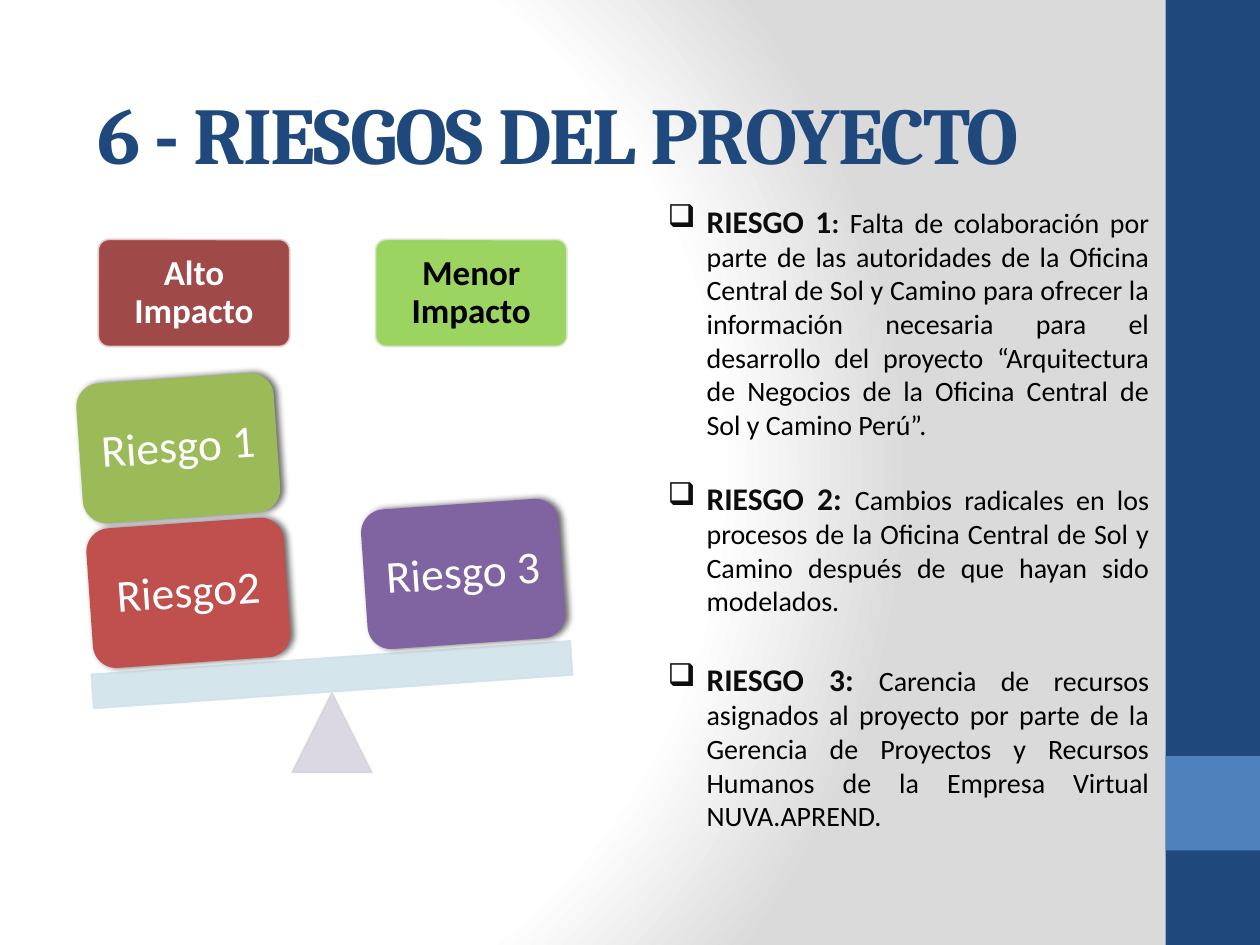
from dataclasses import dataclass

from pptx import Presentation
from pptx.dml.color import RGBColor
from pptx.enum.shapes import MSO_SHAPE
from pptx.enum.text import MSO_ANCHOR, MSO_AUTO_SIZE, PP_ALIGN
from pptx.oxml import parse_xml
from pptx.oxml.ns import nsdecls, qn
from pptx.util import Inches, Pt

COLORS = {
    "navy": "1F497D", "blue": "4F81BD", "white": "FFFFFF", "gray": "DADADA",
    "black": "000000", "ink": "0D0D0D", "dark_red": "953735", "pink": "E8D0D0",
    "lime": "92D050", "pale_lime": "DEE7D1", "lilac": "D8D3E0", "ice": "D0E3EA",
    "red": "C0504D", "olive": "9BBB59", "purple": "8064A2",
}
TILT = 356


@dataclass
class Heading:
    text: str
    left: float
    fill: str
    line: str
    color: str


@dataclass
class Weight:
    text: str
    left: float
    top: float
    fill: str


@dataclass
class Risk:
    label: str
    separator_size: int
    description: str
    top: float
    height: float


HEADINGS = [
    Heading("Alto Impacto", 0.78, "dark_red", "pink", "white"),
    Heading("Menor Impacto", 2.98, "lime", "pale_lime", "black"),
]
WEIGHTS = [
    Weight("Riesgo2", 0.71, 4.15, "red"),
    Weight("Riesgo 1", 0.63, 3, "olive"),
    Weight("Riesgo 3", 2.89, 4, "purple"),
]
RISKS = [
    Risk("RIESGO 1", 16,
         "Falta de colaboración por parte de las autoridades de la Oficina Central "
         "de Sol y Camino para ofrecer la información necesaria para el desarrollo "
         "del proyecto “Arquitectura de Negocios de la Oficina Central de "
         "Sol y Camino Perú”.", 1.55, 2.02),
    Risk("RIESGO 2", 18,
         "Cambios radicales en los procesos de la Oficina Central de Sol y Camino "
         "después de que hayan sido modelados.", 3.75, 1.21),
    Risk("RIESGO 3", 18,
         "Carencia de recursos asignados al proyecto por parte de la Gerencia de "
         "Proyectos y Recursos Humanos de la Empresa Virtual NUVA.APREND.", 5.19, 1.78),
]


def rgb(name: str) -> RGBColor:
    return RGBColor.from_string(COLORS[name])


def add_text(paragraph, text: str, *, size: float, color: str, bold: bool = False,
             font: str = "Calibri"):
    run = paragraph.add_run()
    run.text = text
    run.font.name = font
    run.font.size = Pt(size)
    run.font.bold = bold
    run.font.color.rgb = rgb(color)
    return run


def add_block(slide, kind, left: float, top: float, width: float, height: float,
              fill: str, *, line: str | None = None, rotation: float = 0,
              opacity: int = 100):
    shape = slide.shapes.add_shape(
        kind, Inches(left), Inches(top), Inches(width), Inches(height))
    shape.shadow.inherit = False
    shape.rotation = rotation
    shape.fill.solid()
    shape.fill.fore_color.rgb = rgb(fill)
    if line:
        shape.line.color.rgb = rgb(line)
        shape.line.width = Pt(1)
    else:
        shape.line.fill.background()
    if opacity < 100:
        for color in list(shape._element.spPr.iter(qn("a:srgbClr"))):
            color.append(parse_xml(
                f'<a:alpha {nsdecls("a")} val="{opacity * 1000}"/>'))
    return shape


def add_label(shape, text: str, *, inset: float, **text_format) -> None:
    frame = shape.text_frame
    frame.word_wrap = True
    frame.vertical_anchor = MSO_ANCHOR.MIDDLE
    frame.margin_left = frame.margin_right = Inches(inset)
    frame.margin_top = frame.margin_bottom = Inches(inset)
    paragraph = frame.paragraphs[0]
    paragraph.alignment = PP_ALIGN.CENTER
    paragraph.line_spacing = 0.9
    add_text(paragraph, text, **text_format)


def add_heading(slide, heading: Heading) -> None:
    shape = add_block(slide, MSO_SHAPE.ROUNDED_RECTANGLE, heading.left, 1.9, 1.52, 0.85,
                      heading.fill, line=heading.line, opacity=90)
    shape.adjustments[0] = 0.1
    add_label(shape, heading.text, inset=0.08, size=20, color=heading.color, bold=True)


def add_weight(slide, weight: Weight) -> None:
    shape = add_block(slide, MSO_SHAPE.ROUNDED_RECTANGLE, weight.left, weight.top,
                      1.57, 1.11, weight.fill, rotation=TILT)
    shape._element.spPr.find(qn("a:effectLst")).append(parse_xml(
        f'<a:outerShdw {nsdecls("a")} blurRad="{Pt(4)}" dist="{Pt(2)}" dir="0" '
        f'rotWithShape="0"><a:srgbClr val="{COLORS["black"]}">'
        '<a:alpha val="60000"/></a:srgbClr></a:outerShdw>'))
    add_label(shape, weight.text, inset=0.11, size=26, color="white")


def add_risk(slide, risk: Risk) -> None:
    box = slide.shapes.add_textbox(
        Inches(5.2), Inches(risk.top), Inches(4.02), Inches(risk.height))
    frame = box.text_frame
    frame.word_wrap = True
    frame.auto_size = MSO_AUTO_SIZE.SHAPE_TO_FIT_TEXT
    paragraph = frame.paragraphs[0]
    paragraph.alignment = PP_ALIGN.JUSTIFY
    properties = paragraph._p.get_or_add_pPr()
    properties.set("marL", str(Inches(0.31)))
    properties.set("indent", str(-Inches(0.31)))
    properties.append(parse_xml(f'<a:buChar {nsdecls("a")} char="❑"/>'))
    add_text(paragraph, risk.label, size=18, color="ink", bold=True)
    add_text(paragraph, ": ", size=risk.separator_size, color="ink", bold=True)
    add_text(paragraph, risk.description, size=16, color="black")


def set_background(slide) -> None:
    slide.background.fill.solid()
    solid = next(slide._element.iter(qn("a:solidFill")))
    stops = "".join(
        f'<a:gs pos="{position * 1000}"><a:srgbClr val="{COLORS[color]}"/></a:gs>'
        for position, color in [(0, "white"), (75, "white"), (100, "gray")])
    solid.getparent().replace(solid, parse_xml(
        f'<a:gradFill {nsdecls("a")} rotWithShape="1"><a:gsLst>{stops}</a:gsLst>'
        '<a:path path="circle"><a:fillToRect l="20000" t="50000" r="100000" b="50000"/>'
        '</a:path></a:gradFill>'))


def set_title(slide, text: str) -> None:
    title = slide.shapes.title
    title.left, title.top = Inches(0.67), Inches(0.55)
    title.width, title.height = Inches(8.94), Inches(1)
    frame = title.text_frame
    frame.auto_size = MSO_AUTO_SIZE.NONE
    frame.vertical_anchor = MSO_ANCHOR.MIDDLE
    paragraph = frame.paragraphs[0]
    paragraph.alignment = PP_ALIGN.LEFT
    run = add_text(paragraph, text, size=46, color="navy", bold=True, font="Cambria")
    run.font._element.set("spc", "-100")


def main() -> None:
    presentation = Presentation()
    presentation.slide_width, presentation.slide_height = Inches(10), Inches(7.5)
    slide = presentation.slides.add_slide(presentation.slide_layouts[5])
    set_background(slide)

    # Side band and title
    add_block(slide, MSO_SHAPE.RECTANGLE, 9.25, 0, 0.75, 7.5, "navy")
    add_block(slide, MSO_SHAPE.RECTANGLE, 9.25, 6, 0.75, 0.75, "blue")
    set_title(slide, "6 - RIESGOS DEL PROYECTO")

    # Balance: headings, pivot, beam and weights
    for heading in HEADINGS:
        add_heading(slide, heading)
    add_block(slide, MSO_SHAPE.ISOSCELES_TRIANGLE, 2.32, 5.5, 0.63, 0.63, "lilac",
              line="lilac", opacity=90)
    add_block(slide, MSO_SHAPE.RECTANGLE, 0.73, 5.22, 3.81, 0.27, "ice",
              line="ice", rotation=TILT, opacity=90)
    for weight in WEIGHTS:
        add_weight(slide, weight)

    # Risk descriptions
    for risk in RISKS:
        add_risk(slide, risk)

    presentation.save("out.pptx")


if __name__ == "__main__":
    main()
